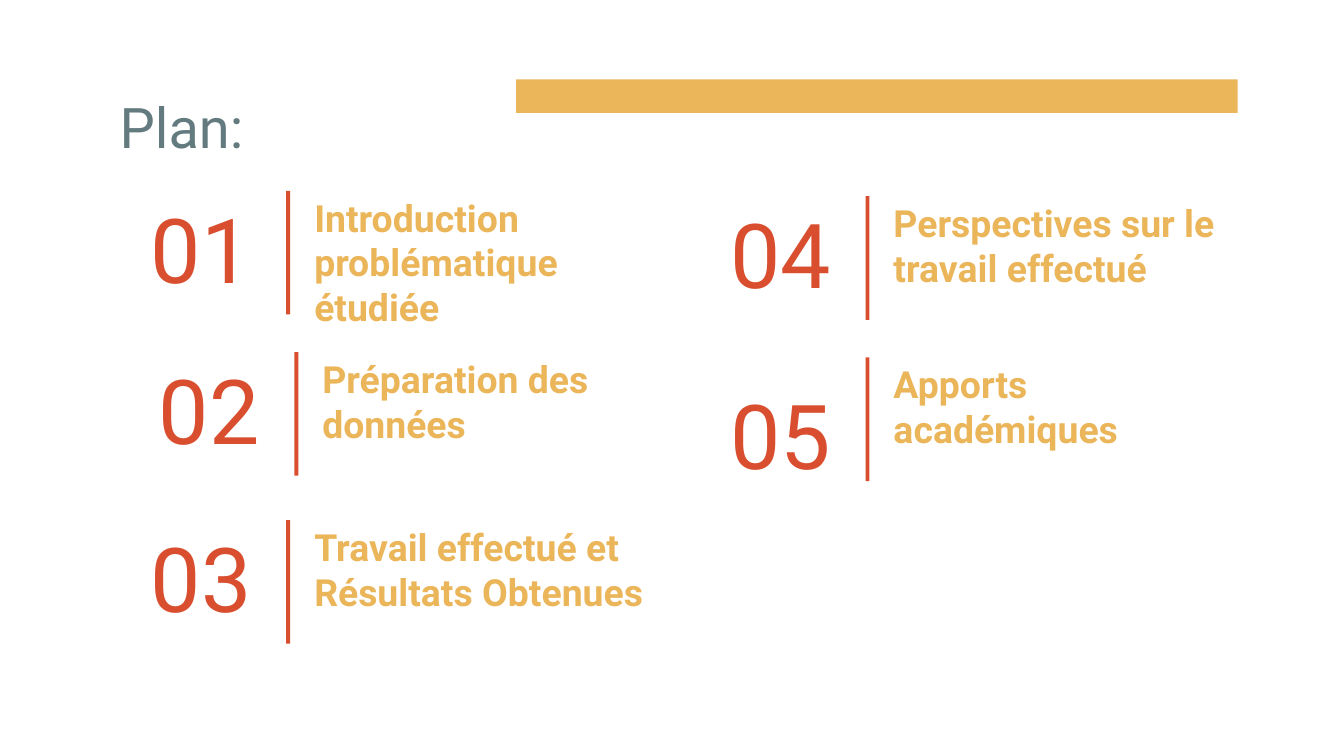
from pptx import Presentation
from pptx.dml.color import RGBColor
from pptx.enum import shapes, text
from pptx.util import Inches, Pt

GOLD, RED, TEAL = "EBB55A", "D84E2E", "637B7F"
LEFT, RIGHT = text.PP_ALIGN.LEFT, text.PP_ALIGN.RIGHT
TOP, BOTTOM = text.MSO_ANCHOR.TOP, text.MSO_ANCHOR.BOTTOM
ITEMS = [
    ("01", "Introduction problématique étudiée", 0.96, 1.42, 0.92, 0.74),
    ("02", "Préparation des données", 1.02, 2.62, 0.92, 0.37),
    ("03", "Travail effectué et Résultats Obtenues", 0.96, 3.87, 0.92, 0.37),
    ("04", "Perspectives sur le travail effectué", 5.27, 1.46, 0.92, 0.37),
    ("05", "Apports académiques", 5.27, 2.66, 1.07, 0.37),
]


def paint(color, code):
    """Set a color from a hex string."""
    color.rgb = RGBColor.from_string(code)


def place(shape, left, top, width, height):
    """Move and size a shape in inches."""
    shape.left, shape.top = Inches(left), Inches(top)
    shape.width, shape.height = Inches(width), Inches(height)


def write(shape, words, size, code, bold=False, align=LEFT, anchor=TOP):
    """Fill a shape with one styled run."""
    frame = shape.text_frame
    frame.word_wrap = True
    frame.auto_size = text.MSO_AUTO_SIZE.NONE
    frame.vertical_anchor = anchor
    frame.margin_left = frame.margin_right = Inches(0.1)
    frame.margin_top = frame.margin_bottom = Inches(0.1)
    para = frame.paragraphs[0]
    para.alignment = align
    run = para.add_run()
    run.text = words
    font = run.font
    font.name, font.size, font.bold = "Roboto", Pt(size), bold
    paint(font.color, code)


def add_bar(slide, code, *box):
    """Add a plain filled rectangle."""
    bar = slide.shapes.add_shape(
        shapes.MSO_SHAPE.RECTANGLE, *map(Inches, box))
    bar.shadow.inherit = False
    bar.fill.solid()
    paint(bar.fill.fore_color, code)
    bar.line.fill.background()


def add_text(slide, box, *args, **style):
    """Add a text box with one styled run."""
    write(slide.shapes.add_textbox(*map(Inches, box)), *args, **style)


def add_item(slide, num, label, left, top, tall, deep):
    """Add a number, its upright rule and its label."""
    add_text(slide, (left, top, 1.01, tall), num, 48, RED,
             align=RIGHT, anchor=BOTTOM)
    add_bar(slide, RED, left + 1.17, top, 0.03, 0.92)
    add_text(slide, (left + 1.28, top - 0.07, 2.76, deep), label, 20, GOLD,
             bold=True)


def main():
    """Build the plan slide."""
    deck = Presentation()
    deck.slide_width = Inches(10)
    deck.slide_height = deck.slide_width * 9 // 16
    slide = deck.slides.add_slide(deck.slide_layouts[5])
    add_bar(slide, GOLD, 3.84, 0.59, 5.37, 0.25)
    title = slide.shapes.title
    place(title, 0.79, 0.59, 3.27, 0.63)
    write(title, "Plan:", 30, TEAL)
    for item in ITEMS:
        add_item(slide, *item)
    deck.save("out.pptx")


if __name__ == "__main__":
    main()
